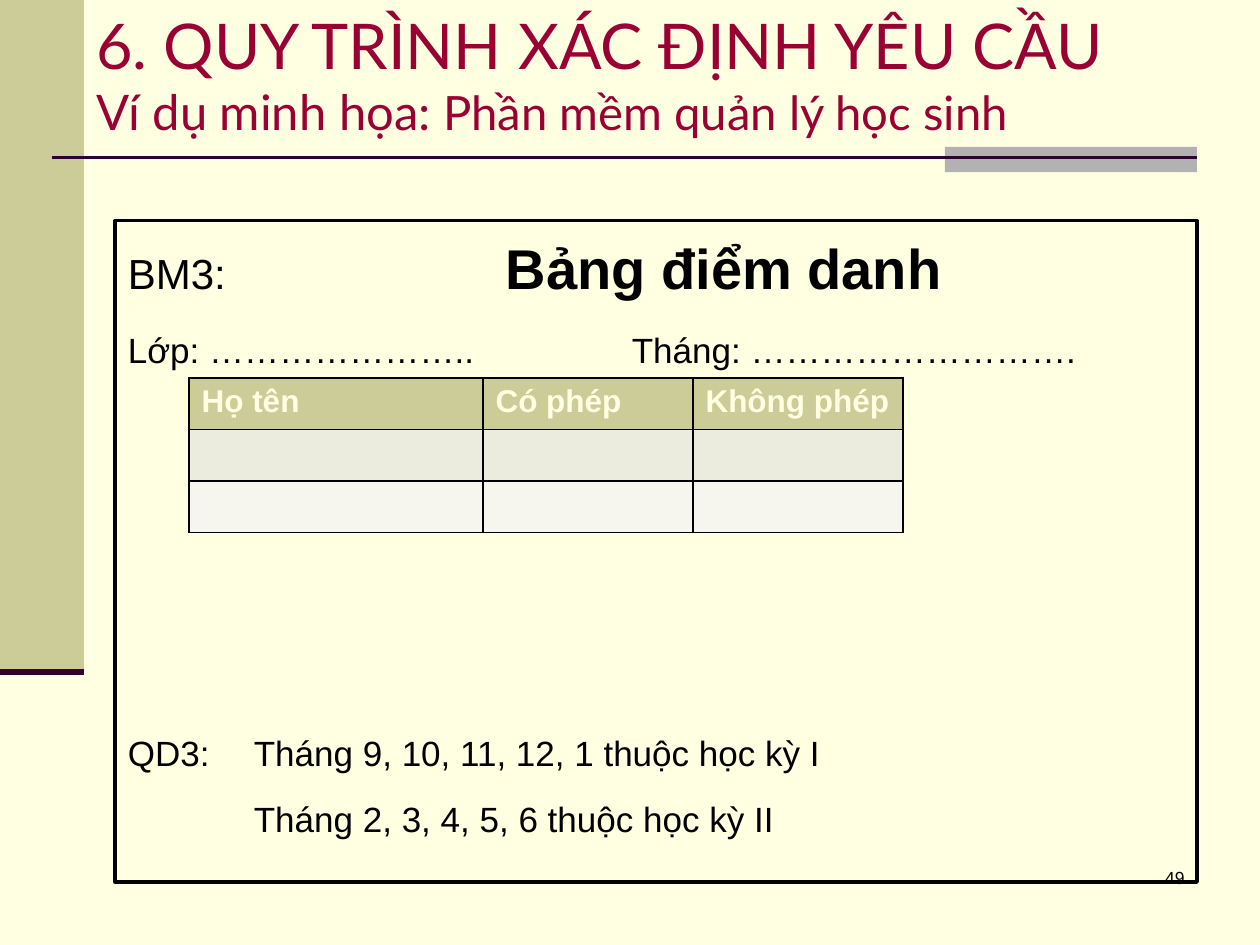
from lxml import etree
from pptx import Presentation
from pptx.dml.color import RGBColor
from pptx.enum.shapes import MSO_CONNECTOR, MSO_SHAPE
from pptx.enum.text import MSO_ANCHOR, PP_ALIGN
from pptx.oxml.ns import qn
from pptx.util import Inches, Pt

RECTANGLE = MSO_SHAPE.RECTANGLE
STRAIGHT = MSO_CONNECTOR.STRAIGHT
TOP, MIDDLE = MSO_ANCHOR.TOP, MSO_ANCHOR.MIDDLE
LEFT, RIGHT = PP_ALIGN.LEFT, PP_ALIGN.RIGHT

IVORY = RGBColor(0xFF, 0xFF, 0xE1)
OLIVE = RGBColor(0xCC, 0xCC, 0x99)
GRAY = RGBColor(0xB2, 0xB2, 0xB2)
PLUM = RGBColor(0x33, 0x00, 0x33)
CRIMSON = RGBColor(0x99, 0x00, 0x33)
BLACK = RGBColor(0x00, 0x00, 0x00)
BAND_DARK = RGBColor(0xEC, 0xEC, 0xDE)
BAND_LIGHT = RGBColor(0xF6, 0xF6, 0xEF)

COLUMNS, ROWS = 120, 90


def grid(*counts):
    """Turn counts of grid steps, twelve to the inch, into lengths."""
    return [Inches(count / 12) for count in counts]


def add_block(slide, area, color):
    """Add a plain filled rectangle."""
    block = slide.shapes.add_shape(RECTANGLE, *grid(*area))
    block.shadow.inherit = False
    block.fill.solid()
    block.fill.fore_color.rgb = color
    block.line.fill.background()


def add_rule(slide, start, end, width):
    """Add a straight plum line without a shadow."""
    rule = slide.shapes.add_connector(STRAIGHT, *grid(*start, *end))
    rule.line.color.rgb = PLUM
    rule.line.width = Pt(width)
    etree.SubElement(rule.line._get_or_add_ln().getparent(), qn("a:effectLst"))


def add_box(slide, area, anchor=TOP):
    """Add a wrapping text box."""
    box = slide.shapes.add_textbox(*grid(*area))
    box.text_frame.word_wrap = True
    box.text_frame.vertical_anchor = anchor
    return box


def next_paragraph(frame):
    """Return the empty first paragraph of a frame or a new one."""
    first = frame.paragraphs[0]
    return frame.add_paragraph() if first.runs else first


def set_tab(para, column):
    """Give a paragraph one left tab stop."""
    stops = etree.SubElement(para._p.get_or_add_pPr(), qn("a:tabLst"))
    etree.SubElement(stops, qn("a:tab"), pos=str(grid(column)[0]), algn="l")


def write(para, text, size=20, font="Arial", color=BLACK, bold=False, align=LEFT):
    """Append a formatted span of text to a paragraph."""
    para.alignment = align
    span = para.add_run()
    span.text = text
    span.font.size = Pt(size)
    span.font.name = font
    span.font.color.rgb = color
    span.font.bold = bold


def add_line(frame, spans, tab, before=0, after=3):
    """Add a form line made of (text, format) spans around a tab stop."""
    para = next_paragraph(frame)
    para.space_before, para.space_after = Pt(before), Pt(after)
    set_tab(para, tab)
    for text, style in spans:
        write(para, text, **style)


def add_borders(cell):
    """Draw a thin black border on all sides of a cell."""
    properties = cell._tc.get_or_add_tcPr()
    for index, side in enumerate(("a:lnL", "a:lnR", "a:lnT", "a:lnB")):
        border = etree.Element(qn(side), w=str(Pt(1)))
        fill = etree.SubElement(border, qn("a:solidFill"))
        etree.SubElement(fill, qn("a:srgbClr"), val=str(BLACK))
        properties.insert(index, border)


def add_attendance_table(slide, headings, widths, fills):
    """Add the attendance table with a heading row and empty rows."""
    row_height = 4.9
    area = (18, 36, sum(widths), row_height * len(fills))
    table = slide.shapes.add_table(len(fills), len(widths), *grid(*area)).table
    for column, width in zip(table.columns, grid(*widths)):
        column.width = width
    for row, fill in zip(table.rows, fills):
        row.height = grid(row_height)[0]
        for cell in row.cells:
            cell.fill.solid()
            cell.fill.fore_color.rgb = fill
            add_borders(cell)
    for cell, heading in zip(table.rows[0].cells, headings):
        write(cell.text_frame.paragraphs[0], heading, size=18, color=IVORY, bold=True)


def add_title(slide):
    """Add the two-line heading."""
    box = add_box(slide, (8, 0, 112, 14), MIDDLE)
    para = next_paragraph(box.text_frame)
    style = {"font": "Lato", "color": CRIMSON}
    write(para, "6. QUY TRÌNH XÁC ĐỊNH YÊU CẦU", size=36, **style)
    para.add_line_break()
    write(para, "Ví dụ minh họa: ", size=28, **style)
    write(para, "Phần mềm quản lý học sinh", size=27, **style)


def add_form(slide):
    """Add the framed form with its rules below the table."""
    box = add_box(slide, (11, 21, 103, 63))
    box.line.color.rgb = BLACK
    box.line.width = Pt(2.25)
    frame = box.text_frame
    frame.margin_top = Inches(0.1)
    heading = [("BM3: ", {"size": 24}), ("\tBảng điểm danh", {"size": 32, "bold": True})]
    add_line(frame, heading, tab=36, after=5)
    add_line(frame, [("Lớp: …………………..\tTháng: ……………………….", {})], tab=48, before=11)
    add_line(frame, [("QD3: \tTháng 9, 10, 11, 12, 1 thuộc học kỳ I", {})], tab=12, before=203.5)
    add_line(frame, [("\tTháng 2, 3, 4, 5, 6 thuộc học kỳ II", {})], tab=12, before=10.5)


def main():
    """Build and save the slide."""
    deck = Presentation()
    deck.slide_width, deck.slide_height = grid(COLUMNS, ROWS)
    slide = deck.slides.add_slide(deck.slide_layouts[6])
    slide.background.fill.solid()
    slide.background.fill.fore_color.rgb = IVORY
    add_block(slide, (0, 0, 8, 64), OLIVE)
    add_block(slide, (90, 14, 24, 2.4), GRAY)
    add_rule(slide, (5, 15), (114, 15), 1.5)
    add_rule(slide, (0, 64), (8, 64), 3.5)
    add_title(slide)
    add_form(slide)
    headings = ("Họ tên", "Có phép", "Không phép")
    add_attendance_table(slide, headings, (28, 20, 20), (OLIVE, BAND_DARK, BAND_LIGHT))
    number = add_box(slide, (89, 82, 25, 6))
    write(next_paragraph(number.text_frame), "49", size=10, align=RIGHT)
    deck.save("out.pptx")


if __name__ == "__main__":
    main()
